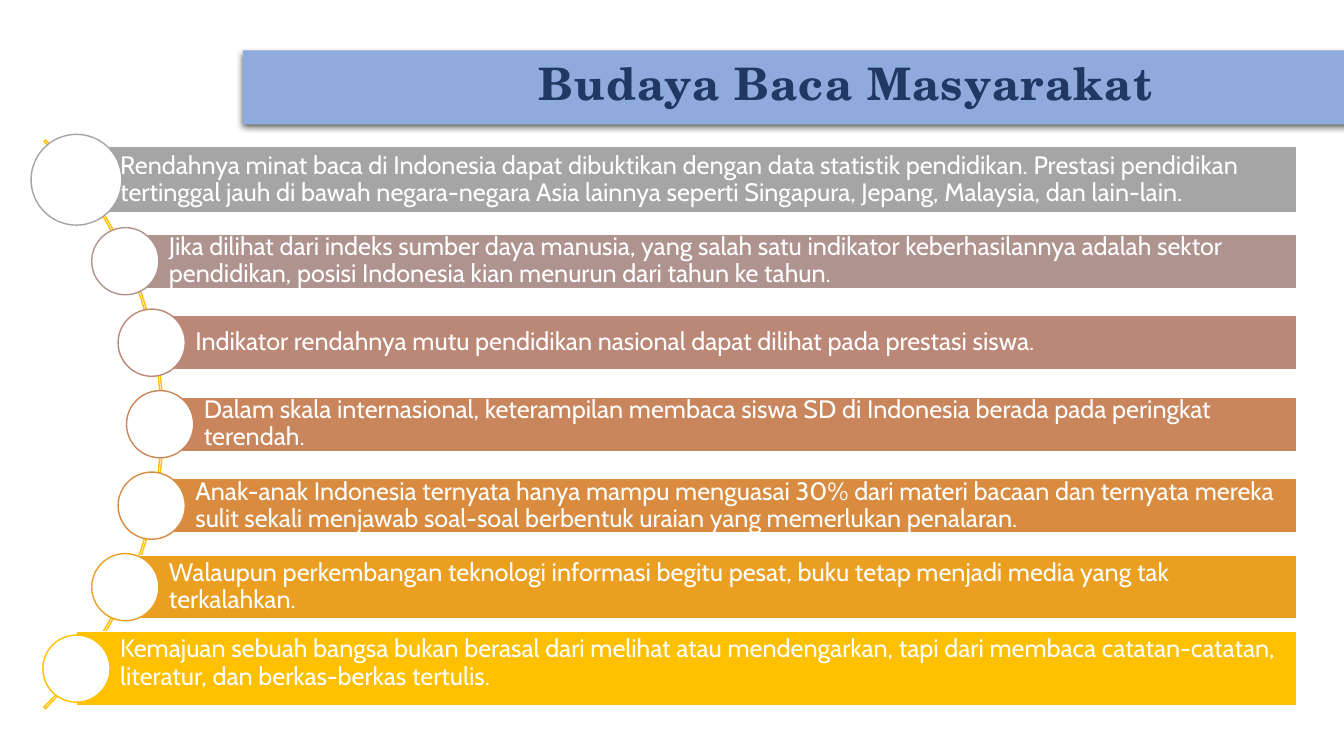
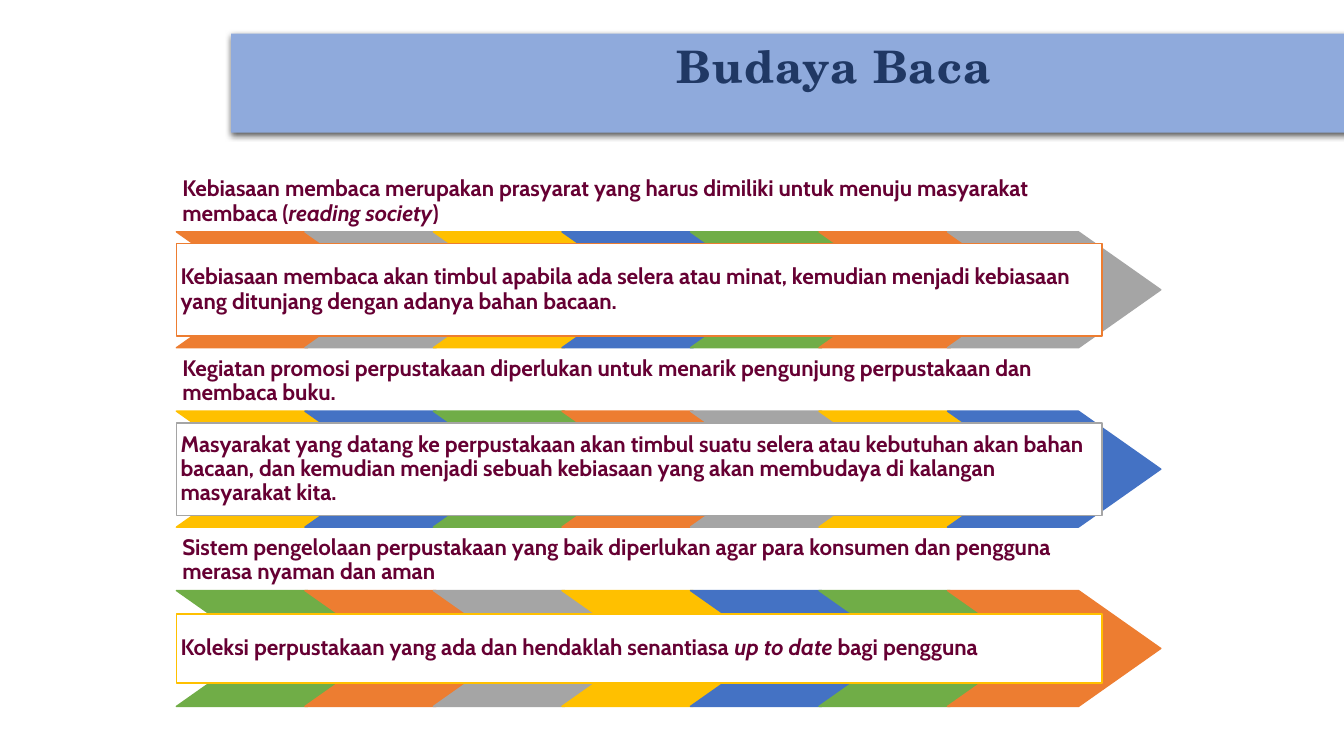
import math
from dataclasses import dataclass

import pptx
import pptx.dml.color
import pptx.enum.shapes
import pptx.enum.text
import pptx.oxml
import pptx.oxml.ns
import pptx.presentation
import pptx.shapes.base
import pptx.slide
import pptx.util

COLUMNS, ROWS = 160, 90
CELL = pptx.util.Inches(1) // 12
SHAPES = pptx.enum.shapes.MSO_SHAPE
ANCHORS = pptx.enum.text.MSO_ANCHOR
ALIGNMENTS = pptx.enum.text.PP_ALIGN

TITLE_FONT, BODY_FONT = "TeX Gyre Schola", "Cabin"
WHITE, NAVY, PERIWINKLE, MAROON, GOLD = "FFFFFF", "203864", "8FAADC", "660033", "FFC000"
PALETTE = ["ED7D31", "A5A5A5", GOLD, "4472C4", "70AD47"]

ARC_COLUMN, ARC_ROW, ARC_RADIUS, CIRCLE_PATH_RADIUS = -28.44, 50.5, 47.88, 47.5
BAR_STEP, BAR_RIGHT = 9.7, 154.4
GROUP_LEFT, GROUP_TOP, GROUP_STEP = 21, 20.8, 21.35
CHEVRON_COUNT, CHEVRON_STEP, CHEVRON_WIDTH, CHEVRON_HEIGHT = 7, 15.3, 25.4, 13.8
HEADING_HEIGHT = 6.8


@dataclass(frozen=True)
class Place:
    column: float
    row: float
    width: float
    height: float

    def lengths(self) -> tuple[int, ...]:
        return tuple(cells(value) for value in (self.column, self.row, self.width, self.height))


@dataclass(frozen=True)
class Bar:
    text: str
    color: str
    height: float = 6.5
    circle: float = 8
    anchor: ANCHORS = ANCHORS.MIDDLE


@dataclass(frozen=True)
class Group:
    heading: str
    detail: str
    detail_height: float = 11


BARS = [
    Bar("Rendahnya minat baca di Indonesia dapat dibuktikan dengan data statistik pendidikan. "
        "Prestasi pendidikan tertinggal jauh di bawah negara-negara Asia lainnya seperti "
        "Singapura, Jepang, Malaysia, dan lain-lain.", "A5A5A5", height=7.9, circle=10.8),
    Bar("Jika dilihat dari indeks sumber daya manusia, yang salah satu indikator keberhasilannya "
        "adalah sektor pendidikan, posisi Indonesia kian menurun dari tahun ke tahun.", "AF938F"),
    Bar("Indikator rendahnya mutu pendidikan nasional dapat dilihat pada prestasi siswa.", "BB8776"),
    Bar("Dalam skala internasional, keterampilan membaca siswa SD di Indonesia berada pada "
        "peringkat terendah.", "C9855C"),
    Bar("Anak-anak Indonesia ternyata hanya mampu menguasai 30% dari materi bacaan dan ternyata "
        "mereka sulit sekali menjawab soal-soal berbentuk uraian yang memerlukan penalaran.", "D98B3F"),
    Bar("Walaupun perkembangan teknologi informasi begitu pesat, buku tetap menjadi media yang "
        "tak terkalahkan.", "EB9F21", height=7.6),
    Bar("Kemajuan sebuah bangsa bukan berasal dari melihat atau mendengarkan, tapi dari membaca "
        "catatan-catatan, literatur, dan berkas-berkas tertulis.", GOLD, height=8.9, anchor=ANCHORS.TOP),
]

GROUPS = [
    Group("Kebiasaan membaca merupakan prasyarat yang harus dimiliki untuk menuju masyarakat "
          "membaca (*reading society*)",
          "Kebiasaan membaca akan timbul apabila ada selera atau minat, kemudian menjadi kebiasaan "
          "yang ditunjang dengan adanya bahan bacaan."),
    Group("Kegiatan promosi perpustakaan diperlukan untuk menarik pengunjung perpustakaan dan "
          "membaca buku.",
          "Masyarakat yang datang ke perpustakaan akan timbul suatu selera atau kebutuhan akan "
          "bahan bacaan, dan kemudian menjadi sebuah kebiasaan yang akan membudaya di kalangan "
          "masyarakat kita."),
    Group("Sistem pengelolaan perpustakaan yang baik diperlukan agar para konsumen dan pengguna "
          "merasa nyaman dan aman",
          "Koleksi perpustakaan yang ada dan hendaklah senantiasa *up to date *bagi pengguna",
          detail_height=8.2),
]


def cells(count: float) -> int:
    return round(count * CELL)


def rgb(color: str) -> pptx.dml.color.RGBColor:
    return pptx.dml.color.RGBColor.from_string(color)


def write_text(shape: pptx.shapes.base.BaseShape, text: str, *, font: str = BODY_FONT,
               size: float = 18, color: str = WHITE, bold: bool = False,
               align: ALIGNMENTS = ALIGNMENTS.LEFT, anchor: ANCHORS = ANCHORS.MIDDLE,
               inset: float = 0.6, left_inset: float | None = None,
               line_spacing: float = 0.9, letter_spacing: float = 0, indent: float = 0) -> None:
    frame = shape.text_frame
    frame.word_wrap = True
    frame.auto_size = pptx.enum.text.MSO_AUTO_SIZE.NONE
    frame.vertical_anchor = anchor
    frame.margin_top = frame.margin_right = frame.margin_bottom = cells(inset)
    frame.margin_left = cells(inset if left_inset is None else left_inset)
    paragraph = frame.paragraphs[0]
    paragraph.alignment = align
    paragraph.line_spacing = line_spacing
    if indent:
        paragraph._p.get_or_add_pPr().set("marL", str(cells(indent)))
    for index, part in enumerate(text.split("*")):
        run = paragraph.add_run()
        run.text = part
        run.font.name = font
        run.font.size = pptx.util.Pt(size)
        run.font.bold = bold
        run.font.italic = index % 2 == 1
        run.font.color.rgb = rgb(color)
        if letter_spacing:
            run._r.get_or_add_rPr().set("spc", str(round(letter_spacing * 100)))


def add_shape(slide: pptx.slide.Slide, kind: SHAPES, place: Place, *,
              fill: str | None, line: str) -> pptx.shapes.base.BaseShape:
    shape = slide.shapes.add_shape(kind, *place.lengths())
    shape.shadow.inherit = False
    if fill is None:
        shape.fill.background()
    else:
        shape.fill.solid()
        shape.fill.fore_color.rgb = rgb(fill)
    shape.line.color.rgb = rgb(line)
    shape.line.width = pptx.util.Pt(1)
    return shape


def add_titled_slide(presentation: pptx.presentation.Presentation, title: str,
                     place: Place) -> pptx.slide.Slide:
    slide = presentation.slides.add_slide(presentation.slide_layouts[5])
    band = slide.shapes.title
    band.left, band.top, band.width, band.height = place.lengths()
    namespace = pptx.oxml.ns.nsdecls("a")
    properties = band.element.spPr
    properties.append(pptx.oxml.parse_xml(
        f'<a:prstGeom {namespace} prst="roundRect"><a:avLst/></a:prstGeom>'))
    band.fill.solid()
    band.fill.fore_color.rgb = rgb(PERIWINKLE)
    properties.append(pptx.oxml.parse_xml(
        f'<a:effectLst {namespace}><a:outerShdw blurRad="57150" dist="19050" dir="5400000" '
        'algn="ctr" rotWithShape="0"><a:srgbClr val="000000"><a:alpha val="63000"/>'
        '</a:srgbClr></a:outerShdw></a:effectLst>'))
    write_text(band, title, font=TITLE_FONT, size=32, color=NAVY, bold=True,
               align=ALIGNMENTS.CENTER, anchor=ANCHORS.TOP, line_spacing=1,
               letter_spacing=0.8, indent=6)
    return slide


def add_bar(slide: pptx.slide.Slide, bar: Bar, offset: float) -> None:
    column = ARC_COLUMN + math.sqrt(CIRCLE_PATH_RADIUS ** 2 - offset ** 2)
    row = ARC_ROW + offset
    strip = add_shape(slide, SHAPES.RECTANGLE,
                      Place(column, row - bar.height / 2, BAR_RIGHT - column, bar.height),
                      fill=bar.color, line=WHITE)
    write_text(strip, bar.text, anchor=bar.anchor, left_inset=5.2)
    radius = bar.circle / 2
    add_shape(slide, SHAPES.OVAL, Place(column - radius, row - radius, bar.circle, bar.circle),
              fill=WHITE, line=bar.color)


def add_group(slide: pptx.slide.Slide, group: Group, index: int) -> None:
    top = GROUP_TOP + index * GROUP_STEP
    heading = slide.shapes.add_textbox(*Place(GROUP_LEFT, top, 108.8, HEADING_HEIGHT).lengths())
    write_text(heading, group.heading, size=16, color=MAROON, bold=True,
               anchor=ANCHORS.BOTTOM, inset=0.7)
    chevron_top = top + HEADING_HEIGHT
    for position in range(CHEVRON_COUNT):
        color = PALETTE[(2 * index + position) % len(PALETTE)]
        place = Place(GROUP_LEFT + position * CHEVRON_STEP, chevron_top,
                      CHEVRON_WIDTH, CHEVRON_HEIGHT)
        chevron = add_shape(slide, SHAPES.CHEVRON, place, fill=color, line=color)
        chevron.adjustments[0] = 0.71
    detail_top = chevron_top + (CHEVRON_HEIGHT - group.detail_height) / 2
    detail = add_shape(slide, SHAPES.RECTANGLE,
                       Place(GROUP_LEFT, detail_top, 110.2, group.detail_height),
                       fill=WHITE, line=PALETTE[index])
    write_text(detail, group.detail, size=16, color=MAROON, bold=True, inset=0.5)


def build_society_slide(presentation: pptx.presentation.Presentation) -> None:
    slide = add_titled_slide(presentation, "Budaya Baca Masyarakat", Place(28.9, 6, 137.6, 8.8))
    arc = add_shape(slide, SHAPES.BLOCK_ARC,
                    Place(ARC_COLUMN - ARC_RADIUS, ARC_ROW - ARC_RADIUS,
                          2 * ARC_RADIUS, 2 * ARC_RADIUS), fill=None, line=GOLD)
    for index, value in enumerate((189, 27, 0.0027)):
        arc.adjustments[index] = value
    middle = len(BARS) // 2
    for index, bar in enumerate(BARS):
        add_bar(slide, bar, (index - middle) * BAR_STEP)


def build_habit_slide(presentation: pptx.presentation.Presentation) -> None:
    slide = add_titled_slide(presentation, "Budaya Baca", Place(27.5, 4, 137.6, 11.8))
    for index, group in enumerate(GROUPS):
        add_group(slide, group, index)


def main() -> None:
    presentation = pptx.Presentation()
    presentation.slide_width = cells(COLUMNS)
    presentation.slide_height = cells(ROWS)
    build_society_slide(presentation)
    build_habit_slide(presentation)
    presentation.save("out.pptx")


if __name__ == "__main__":
    main()
